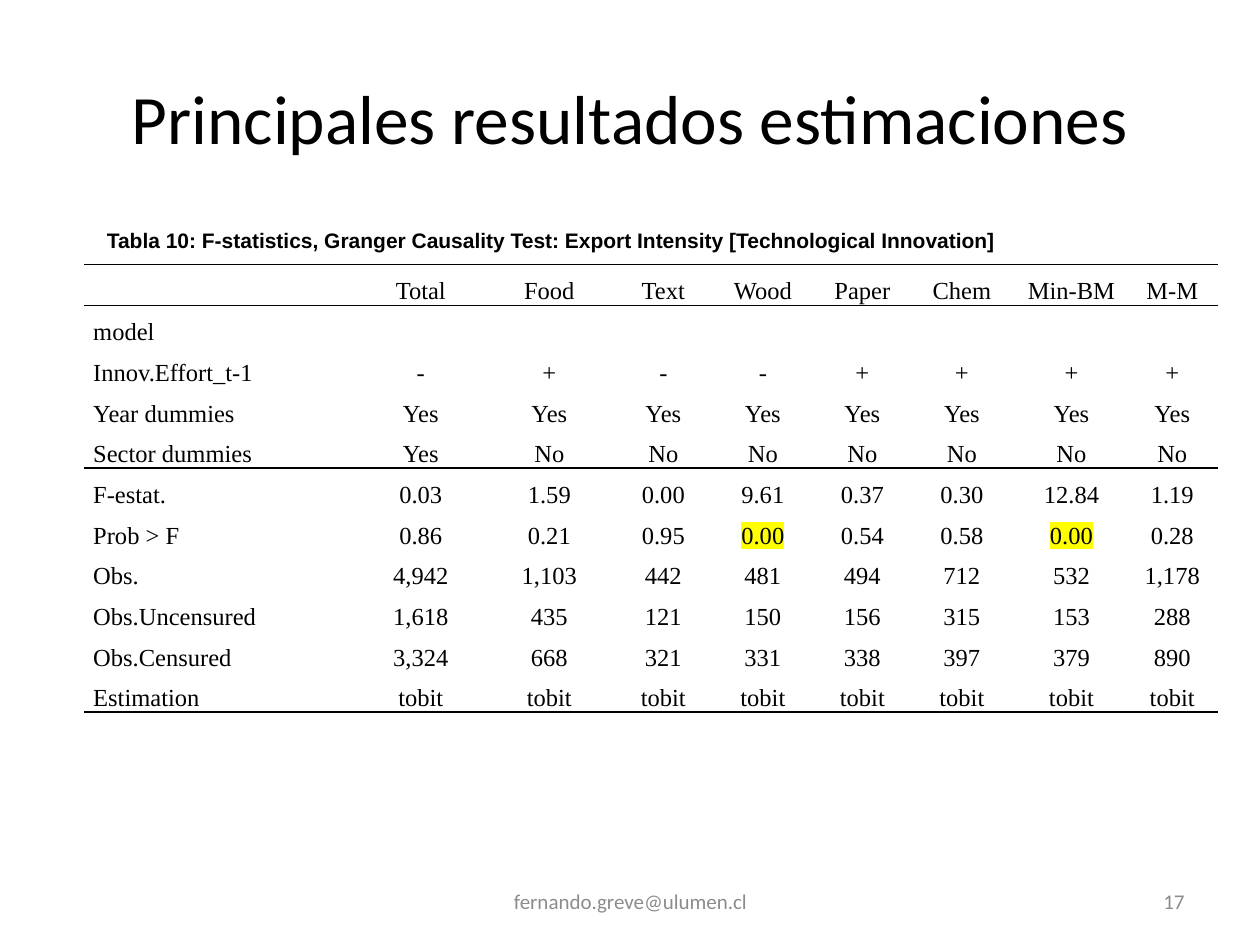
from dataclasses import dataclass

import pptx
import pptx.dml.color
import pptx.enum.text
import pptx.oxml.ns
import pptx.util
from lxml import etree

Inches = pptx.util.Inches
Pt = pptx.util.Pt
Align = pptx.enum.text.PP_ALIGN
Anchor = pptx.enum.text.MSO_ANCHOR
qn = pptx.oxml.ns.qn


@dataclass(frozen=True)
class Theme:
    ink: str = "000000"
    muted: str = "8C8C8C"
    marker: str = "FFFF00"
    heading_font: str = "Calibri"
    caption_font: str = "Arial"
    table_font: str = "Times New Roman"
    title_size: float = 39.6
    table_size: float = 14
    small_size: float = 12
    rule_width: float = 1


@dataclass(frozen=True)
class Label:
    """A text box with its place in inches and its format."""
    text: str
    left: float
    top: float
    width: float
    height: float
    size: float
    font: str
    color: str
    align: Align
    bold: bool = False
    wrap: bool = True


THEME = Theme()

LABELS = [
    Label("Principales resultados estimaciones", 0.5, 0.3, 9, 1.25,
          THEME.title_size, THEME.heading_font, THEME.ink, Align.CENTER),
    Label("Tabla 10: F-statistics, Granger Causality Test: "
          "Export Intensity [Technological Innovation]", 0.75, 1.76, 7.33, 0.3,
          THEME.small_size, THEME.caption_font, THEME.ink, Align.JUSTIFY,
          bold=True, wrap=False),
    Label("17", 7.17, 6.95, 2.33, 0.4,
          THEME.small_size, THEME.heading_font, THEME.muted, Align.RIGHT),
    Label("fernando.greve@ulumen.cl", 3.42, 6.95, 3.17, 0.4,
          THEME.small_size, THEME.heading_font, THEME.muted, Align.CENTER),
]

RESULTS = [
    ["", "Total", "Food", "Text", "Wood", "Paper", "Chem", "Min-BM", "M-M"],
    ["model"] + [""] * 8,
    ["Innov.Effort_t-1", "-", "+", "-", "-", "+", "+", "+", "+"],
    ["Year dummies"] + ["Yes"] * 8,
    ["Sector dummies", "Yes"] + ["No"] * 7,
    ["F-estat.", "0.03", "1.59", "0.00", "9.61", "0.37", "0.30", "12.84", "1.19"],
    ["Prob > F", "0.86", "0.21", "0.95", "0.00", "0.54", "0.58", "0.00", "0.28"],
    ["Obs.", "4,942", "1,103", "442", "481", "494", "712", "532", "1,178"],
    ["Obs.Uncensured", "1,618", "435", "121", "150", "156", "315", "153", "288"],
    ["Obs.Censured", "3,324", "668", "321", "331", "338", "397", "379", "890"],
    ["Estimation"] + ["tobit"] * 8,
]
COLUMN_WIDTHS = [2.2, 0.94, 1.1, 0.71, 0.87, 0.71, 0.87, 0.87, 0.73]
ROW_HEIGHT = 0.32
RULES_ABOVE = {0, 1, 5, len(RESULTS)}
SIGNIFICANT = {(6, 4), (6, 7)}


def write(frame, text: str, *, size: float, font: str, color: str, align: Align,
          bold: bool = False, spacing: float = 1.0, highlight: str = "") -> None:
    paragraph = frame.paragraphs[0]
    paragraph.alignment = align
    paragraph.line_spacing = spacing
    run = paragraph.add_run()
    run.text = text
    run.font.size = Pt(size)
    run.font.name = font
    run.font.bold = bold
    run.font.color.rgb = pptx.dml.color.RGBColor.from_string(color)
    if highlight:
        mark = etree.Element(qn("a:highlight"))
        etree.SubElement(mark, qn("a:srgbClr"), val=highlight)
        run.font._element.find(qn("a:solidFill")).addnext(mark)


def add_label(slide, label: Label) -> None:
    box = slide.shapes.add_textbox(Inches(label.left), Inches(label.top),
                                   Inches(label.width), Inches(label.height))
    frame = box.text_frame
    frame.word_wrap = label.wrap
    frame.vertical_anchor = Anchor.MIDDLE
    write(frame, label.text, size=label.size, font=label.font,
          color=label.color, align=label.align, bold=label.bold)


def set_borders(cell, ruled_sides: set[str]) -> None:
    """Rule the given sides (of L, R, T, B) and clear the others."""
    properties = cell._tc.get_or_add_tcPr()
    for side in "LRTB":
        line = etree.SubElement(properties, qn(f"a:ln{side}"),
                                w=str(Pt(THEME.rule_width)))
        if side in ruled_sides:
            fill = etree.SubElement(line, qn("a:solidFill"))
            etree.SubElement(fill, qn("a:srgbClr"), val=THEME.ink)
        else:
            etree.SubElement(line, qn("a:noFill"))


def fill_cell(cell, row: int, column: int, text: str) -> None:
    set_borders(cell, {side for side, edge in (("T", row), ("B", row + 1))
                       if edge in RULES_ABOVE})
    cell.fill.background()
    cell.margin_left = cell.margin_right = Inches(0.07)
    cell.margin_top = cell.margin_bottom = 0
    if text:
        write(cell.text_frame, text, size=THEME.table_size, font=THEME.table_font,
              color=THEME.ink, spacing=1.5,
              align=Align.CENTER if column else Align.JUSTIFY,
              highlight=THEME.marker if (row, column) in SIGNIFICANT else "")


def add_results_table(slide) -> None:
    table = slide.shapes.add_table(
        len(RESULTS), len(COLUMN_WIDTHS), Inches(0.67), Inches(2.1),
        Inches(sum(COLUMN_WIDTHS)), Inches(ROW_HEIGHT * len(RESULTS))).table
    table.first_row = table.horz_banding = False
    for column, width in zip(table.columns, COLUMN_WIDTHS):
        column.width = Inches(width)
    for row, values in enumerate(RESULTS):
        table.rows[row].height = Inches(ROW_HEIGHT)
        for column, text in enumerate(values):
            fill_cell(table.cell(row, column), row, column, text)


def main() -> None:
    presentation = pptx.Presentation()
    presentation.slide_width = Inches(10)
    presentation.slide_height = Inches(7.5)
    slide = presentation.slides.add_slide(presentation.slide_layouts[6])
    add_results_table(slide)
    for label in LABELS:
        add_label(slide, label)
    presentation.save("out.pptx")


if __name__ == "__main__":
    main()
